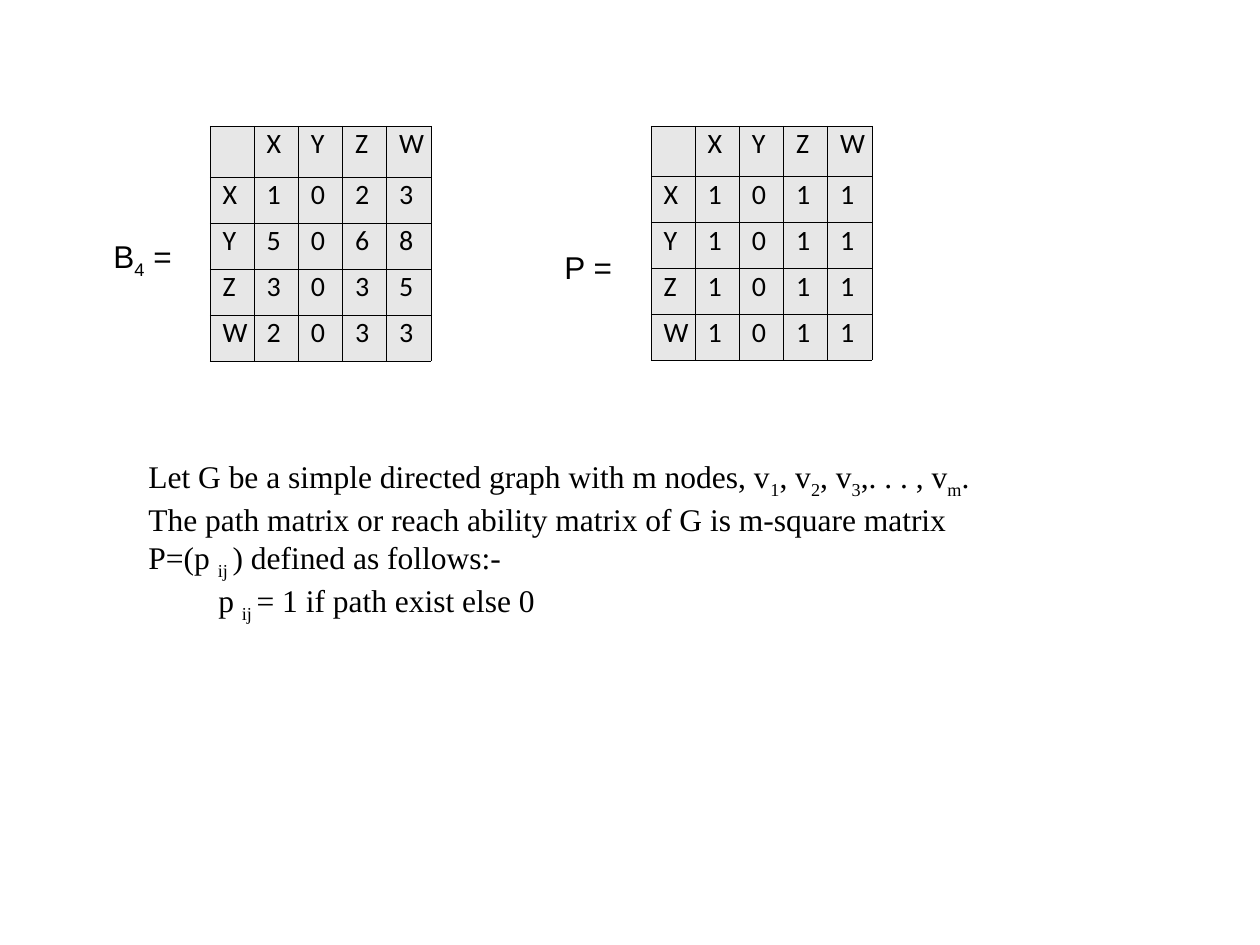
from lxml import etree
from pptx import Presentation
from pptx import util as u
from pptx.dml.color import RGBColor
from pptx.enum import text
from pptx.oxml import ns

PX = 914400 // 126
BLACK = RGBColor(0, 0, 0)
GREY = RGBColor(0xE7, 0xE7, 0xE7)
NODES = "XYZW"
PATHS = ["1023", "5068", "3035", "2033"]
REACH = ["1011"] * 4


class Deck:
    size = u.Pt(18)
    small = u.Pt(16)
    line = 762
    tab = 62

    def __init__(self):
        self.prs = Presentation()
        self.prs.slide_width = u.Inches(10)
        self.prs.slide_height = u.Inches(7.5)
        self.slide = self.prs.slides.add_slide(self.prs.slide_layouts[6])

    def font(self, run, face, size):
        run.font.name = face
        run.font.size = size
        run.font.color.rgb = BLACK

    def stop(self, para):
        props = para._p.get_or_add_pPr()
        tabs = etree.SubElement(props, ns.qn("a:tabLst"))
        etree.SubElement(tabs, ns.qn("a:tab"), pos=str(self.tab * PX), algn="l")

    def text(self, box, lines, face, wrap=False):
        shape = self.slide.shapes.add_textbox(*[n * PX for n in box])
        frame = shape.text_frame
        frame.word_wrap = wrap
        frame.auto_size = text.MSO_AUTO_SIZE.SHAPE_TO_FIT_TEXT
        for i, line in enumerate(lines):
            para = frame.add_paragraph() if i else frame.paragraphs[0]
            self.stop(para)
            for j, part in enumerate(line.split("|")):
                run = para.add_run()
                run.text = part
                self.font(run, face, self.size)
                if j % 2:
                    run._r.get_or_add_rPr().set("baseline", "-25000")

    def border(self, cell):
        props = cell._tc.get_or_add_tcPr()
        for side in ("lnL", "lnR", "lnT", "lnB"):
            edge = etree.SubElement(props, ns.qn("a:" + side), w=str(self.line))
            fill = etree.SubElement(edge, ns.qn("a:solidFill"))
            etree.SubElement(fill, ns.qn("a:srgbClr"), val=str(BLACK))

    def matrix(self, left, top, wide, head, high, values):
        rows = [["", *NODES]] + [[n, *v] for n, v in zip(NODES, values)]
        count = len(rows)
        box = (left, top, wide, head + high * (count - 1))
        table = self.slide.shapes.add_table(
            count, count, *[n * PX for n in box]).table
        table.first_row = table.horz_banding = False
        for i, row in enumerate(rows):
            table.columns[i].width = wide * PX // count
            table.rows[i].height = (high if i else head) * PX
            for j, value in enumerate(row):
                cell = table.cell(i, j)
                cell.text_frame.text = value
                para = cell.text_frame.paragraphs[0]
                para.line_spacing = 0.78
                for run in para.runs:
                    self.font(run, "Calibri", self.small)
                self.border(cell)
                cell.fill.solid()
                cell.fill.fore_color.rgb = GREY


def main():
    deck = Deck()
    deck.matrix(210, 126, 221, 48, 46, PATHS)
    deck.text((101, 231, 92, 55), ["B|4| ="], "Arial")
    deck.text((552, 242, 82, 50), ["P ="], "Arial")
    deck.matrix(651, 126, 221, 50, 46, REACH)
    deck.text((136, 451, 892, 218), [
        "Let G be a simple directed graph with m nodes, v|1|, v|2|, v|3|,. . . , v|m|. "
        "The path matrix or reach ability matrix of G is m-square matrix "
        "P=(p |ij |) defined as follows:-",
        "\t p |ij |= 1 if path exist else 0",
    ], "Times New Roman", wrap=True)
    deck.prs.save("out.pptx")


if __name__ == "__main__":
    main()
